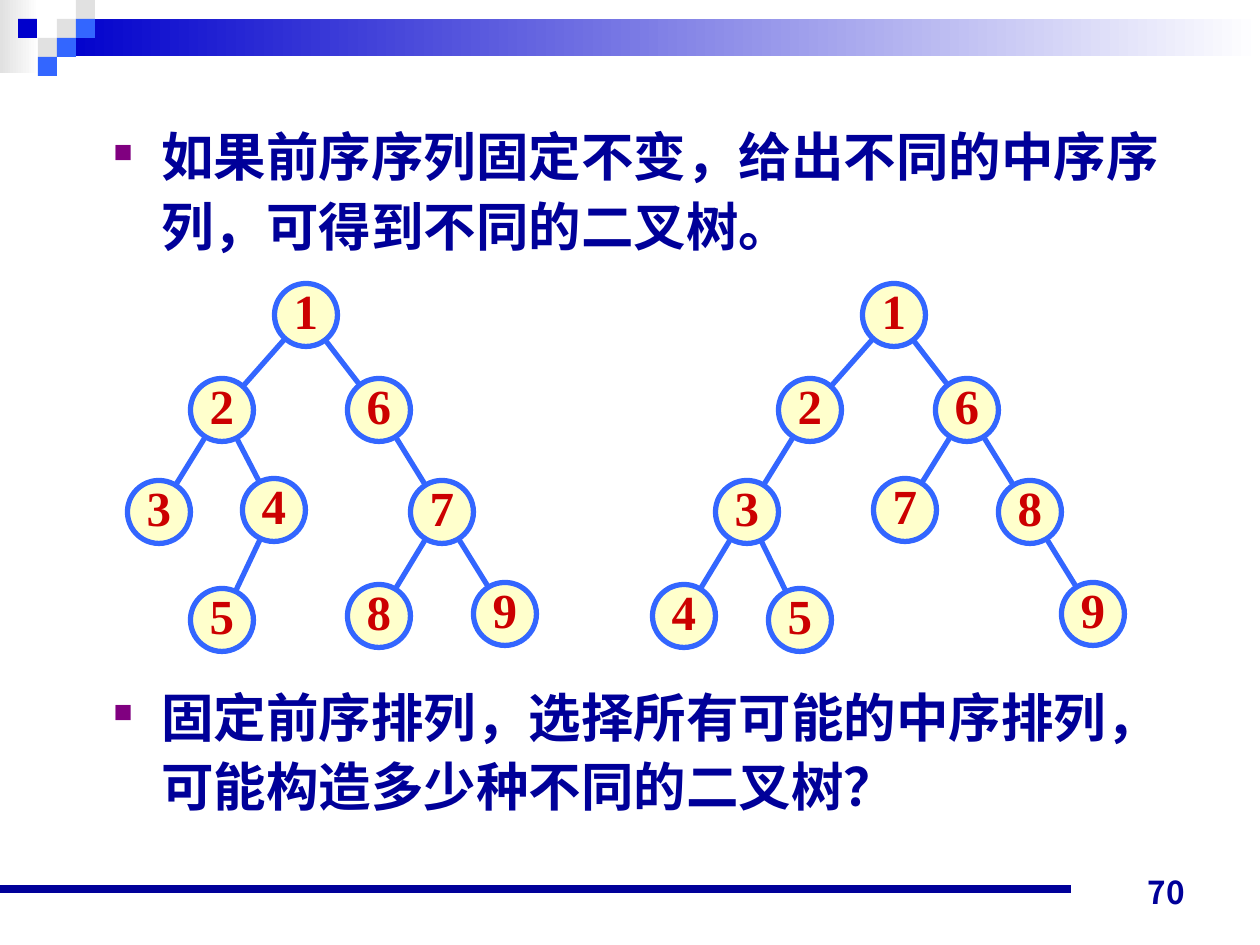
from math import hypot

from lxml import etree
from pptx import Presentation
from pptx.dml.color import RGBColor
from pptx.enum.shapes import MSO_CONNECTOR, MSO_SHAPE
from pptx.enum.text import MSO_ANCHOR, PP_ALIGN
from pptx.oxml.ns import qn
from pptx.util import Pt

RECTANGLE, OVAL = MSO_SHAPE.RECTANGLE, MSO_SHAPE.OVAL
STRAIGHT = MSO_CONNECTOR.STRAIGHT
MIDDLE, BOTTOM = MSO_ANCHOR.MIDDLE, MSO_ANCHOR.BOTTOM
CENTER, RIGHT = PP_ALIGN.CENTER, PP_ALIGN.RIGHT

COLORS = {"navy": "000099", "blue": "0000CC", "sky": "3366FF", "gray": "E1E1E1",
          "white": "FFFFFF", "cream": "FFFFCC", "red": "CC0000", "purple": "800080"}

STATEMENTS = ["如果前序序列固定不变，给出不同的中序序列，可得到不同的二叉树。",
              "固定前序排列，选择所有可能的中序排列，可能构造多少种不同的二叉树？"]
PAGE_NUMBER = "70"

BANDS = [((0, 0, 39, 73), "gray"), ((57, 19, 1203, 37), "blue")]
SQUARE = 19
SQUARES = [(57, 19, "gray"), (76, 0, "gray"), (76, 19, "sky"), (38, 38, "gray"),
           (18, 19, "blue"), (57, 38, "sky"), (38, 57, "sky")]

TREES = [
    {"nodes": {1: (306, 315), 2: (222, 410), 6: (379, 410), 3: (159, 512), 4: (274, 510),
               7: (442, 512), 5: (222, 620), 8: (379, 616), 9: (505, 614)},
     "edges": [(1, 2), (1, 6), (2, 3), (2, 4), (4, 5), (6, 7), (7, 8), (7, 9)]},
    {"nodes": {1: (894, 315), 2: (810, 410), 6: (967, 410), 3: (747, 512), 7: (905, 510),
               8: (1030, 512), 4: (684, 616), 5: (800, 620), 9: (1093, 614)},
     "edges": [(1, 2), (1, 6), (2, 3), (3, 4), (3, 5), (6, 7), (6, 8), (8, 9)]},
]
DIAMETER = 63
EDGE_TRIM = 25

BODY_FONT = {"name": "Arial", "size": Pt(30), "bold": True}
NUMBER_FONT = {"name": "Noto Sans CJK JP", "size": Pt(18), "bold": True}
NODE_FONT = {"name": "Times New Roman", "size": Pt(28), "bold": True}


def px(value):
    return round(value * 914400 / 126)


def rgb(name):
    return RGBColor.from_string(COLORS[name])


def set_font(font, values, color):
    for name, value in values.items():
        setattr(font, name, value)
    font.color.rgb = rgb(color)


def add_plain_shape(slide, kind, box, fill):
    shape = slide.shapes.add_shape(kind, *map(px, box))
    shape.shadow.inherit = False
    shape.fill.solid()
    shape.fill.fore_color.rgb = rgb(fill)
    shape.line.fill.background()
    return shape


def add_line(slide, start, end, color, width):
    line = slide.shapes.add_connector(STRAIGHT, *map(px, (*start, *end)))
    line.line.color.rgb = rgb(color)
    line.line.width = Pt(width)
    etree.SubElement(line._element.spPr, qn("a:effectLst"))


def add_header(slide):
    for box, color in BANDS:
        fill = add_plain_shape(slide, RECTANGLE, box, color).fill
        fill.gradient()
        fill.gradient_angle = 0
        for stop, name in zip(fill.gradient_stops, (color, "white")):
            stop.color.rgb = rgb(name)
    for left, top, color in SQUARES:
        add_plain_shape(slide, RECTANGLE, (left, top, SQUARE, SQUARE), color)


def add_footer(slide):
    add_line(slide, (0, 889), (1071, 889), "navy", 4.5)
    frame = slide.shapes.add_textbox(*map(px, (903, 854, 294, 63))).text_frame
    frame.word_wrap = True
    frame.vertical_anchor = BOTTOM
    paragraph = frame.paragraphs[0]
    paragraph.text = PAGE_NUMBER
    paragraph.alignment = RIGHT
    set_font(paragraph.runs[0].font, NUMBER_FONT, "navy")


def add_bullet(paragraph):
    properties = paragraph._p.get_or_add_pPr()
    properties.set("marL", str(px(48)))
    properties.set("indent", str(px(-48)))
    color = etree.SubElement(properties, qn("a:buClr"))
    etree.SubElement(color, qn("a:srgbClr"), val=COLORS["purple"])
    etree.SubElement(properties, qn("a:buSzPct"), val="50000")
    etree.SubElement(properties, qn("a:buFont"), typeface="Wingdings", charset="2")
    etree.SubElement(properties, qn("a:buChar"), char="n")


def add_statements(slide):
    frame = slide.shapes.add_textbox(*map(px, (101, 112, 1094, 758))).text_frame
    frame.word_wrap = True
    for index, text in enumerate(STATEMENTS):
        paragraph = frame.add_paragraph() if index else frame.paragraphs[0]
        add_bullet(paragraph)
        paragraph.line_spacing = 1.1
        if index:
            paragraph.space_before = Pt(241)
        run = paragraph.add_run()
        run.text = text
        set_font(run.font, BODY_FONT, "navy")
        etree.SubElement(run._r.rPr, qn("a:ea"), typeface="Noto Sans CJK SC")


def add_edge(slide, parent, child):
    across, down = child[0] - parent[0], child[1] - parent[1]
    share = EDGE_TRIM / hypot(across, down)
    start = (parent[0] + across * share, parent[1] + down * share)
    end = (child[0] - across * share, child[1] - down * share)
    add_line(slide, start, end, "sky", 3)


def add_node(slide, label, center):
    left, top = (value - DIAMETER / 2 for value in center)
    node = add_plain_shape(slide, OVAL, (left, top, DIAMETER, DIAMETER), "cream")
    node.line.color.rgb = rgb("sky")
    node.line.width = Pt(3)
    frame = node.text_frame
    frame.word_wrap = False
    frame.vertical_anchor = MIDDLE
    frame.margin_left = frame.margin_right = frame.margin_top = 0
    frame.margin_bottom = px(10)
    paragraph = frame.paragraphs[0]
    paragraph.text = str(label)
    paragraph.alignment = CENTER
    set_font(paragraph.runs[0].font, NODE_FONT, "red")


def add_tree(slide, tree):
    nodes = tree["nodes"]
    for parent, child in tree["edges"]:
        add_edge(slide, nodes[parent], nodes[child])
    for label, center in nodes.items():
        add_node(slide, label, center)


def main():
    presentation = Presentation()
    presentation.slide_width, presentation.slide_height = px(1260), px(945)
    slide = presentation.slides.add_slide(presentation.slide_layouts[6])
    add_header(slide)
    add_footer(slide)
    add_statements(slide)
    for tree in TREES:
        add_tree(slide, tree)
    presentation.save("out.pptx")


if __name__ == "__main__":
    main()
